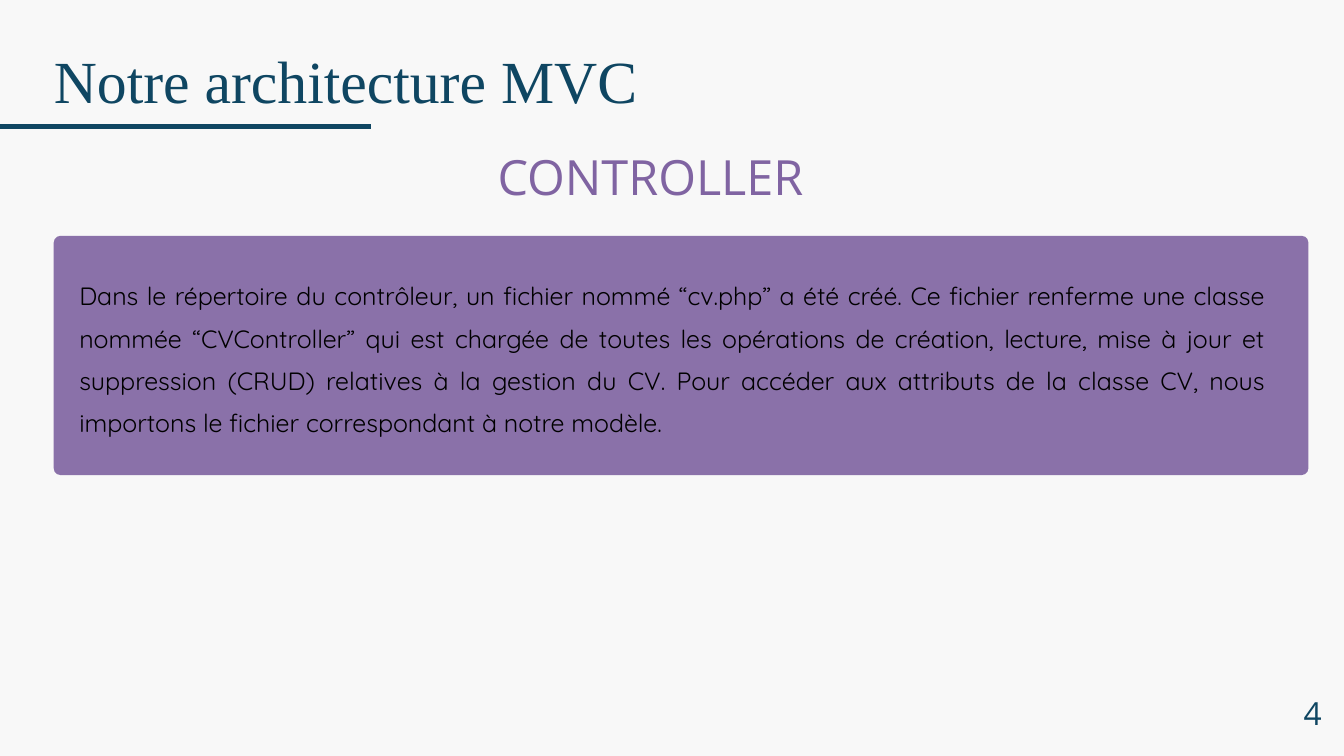
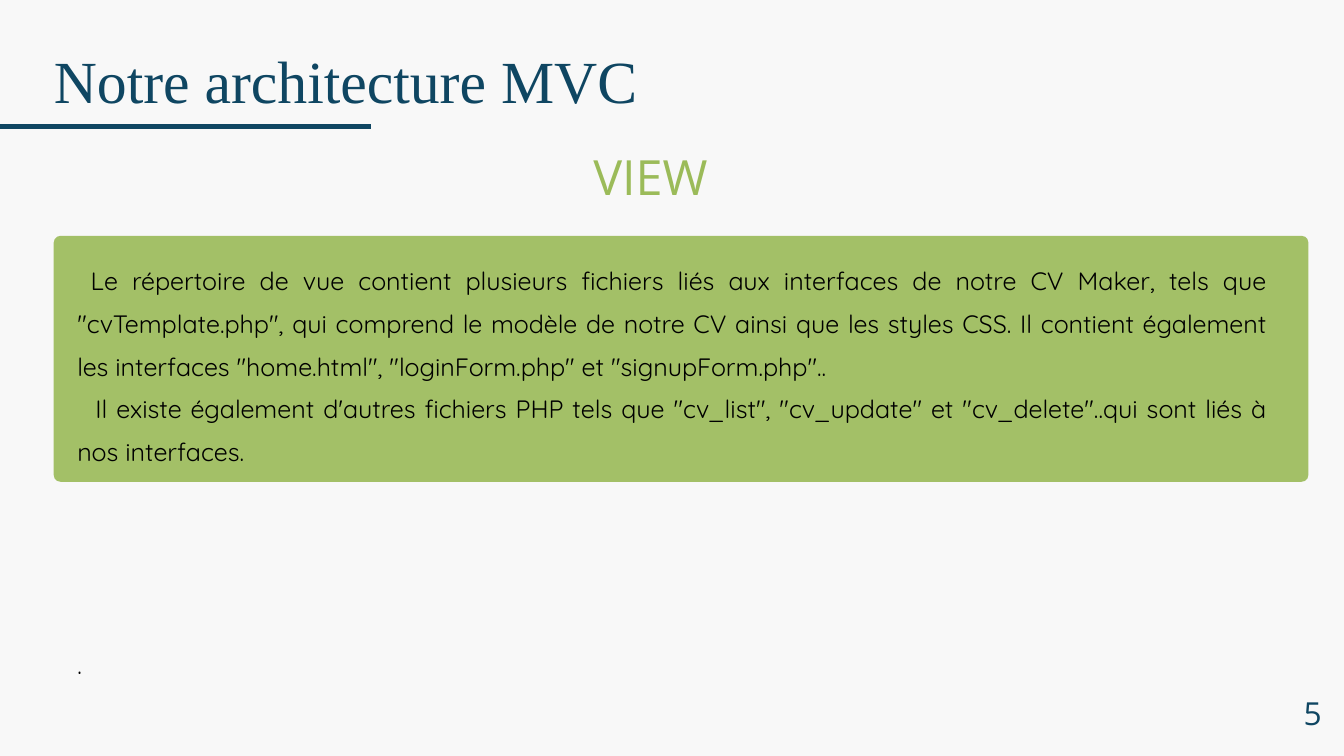
"""Build the two MVC architecture slides: controller and view."""
from lxml import etree
from pptx import Presentation
from pptx.dml.color import RGBColor
from pptx.enum.shapes import MSO_CONNECTOR, MSO_SHAPE
from pptx.enum.text import PP_ALIGN
from pptx.oxml.ns import qn
from pptx.util import Inches, Pt

LEFT, CENTER, JUSTIFY = PP_ALIGN.LEFT, PP_ALIGN.CENTER, PP_ALIGN.JUSTIFY
STRAIGHT = MSO_CONNECTOR.STRAIGHT
ROUNDED = MSO_SHAPE.ROUNDED_RECTANGLE

PAPER = RGBColor(0xF8, 0xF8, 0xF8)
NAVY = RGBColor(0x0F, 0x46, 0x62)
PURPLE = RGBColor(0x80, 0x64, 0xA2)
GREEN = RGBColor(0x9B, 0xBB, 0x59)
BLACK = RGBColor(0, 0, 0)

WIDTH, HEIGHT = 20, 11.25
MARGIN = 0.04 * WIDTH
HEADING_WIDTH = 8.88
CARD_TOP, CARD_WIDTH, CORNER = 3.51, 18.67, 0.1
CARD_OPACITY = 91000
TITLE = "Notre architecture MVC"

# Each body paragraph is (text, first-line indent in inches, blank lines above).
SLIDES = [
    {
        "number": "4",
        "heading": "CONTROLLER",
        "color": PURPLE,
        "card_height": 3.56,
        "body_box": (1.18, 3.99, 17.65, 2.46),
        "size": 26.8,
        "leading": 45.5,
        "body": [
            ("Dans le répertoire du contrôleur, un fichier nommé “cv.php” a été créé. "
             "Ce fichier renferme une classe nommée “CVController” qui est chargée de "
             "toutes les opérations de création, lecture, mise à jour et suppression "
             "(CRUD) relatives à la gestion du CV. Pour accéder aux attributs de la "
             "classe CV, nous importons le fichier correspondant à notre modèle.", 0, 0),
        ],
    },
    {
        "number": "5",
        "heading": "VIEW",
        "color": GREEN,
        "card_height": 3.66,
        "body_box": (1.15, 3.77, 17.7, 6.23),
        "size": 26.9,
        "leading": 45.7,
        "body": [
            ("Le répertoire de vue contient plusieurs fichiers liés aux interfaces de "
             "notre CV Maker, tels que \"cvTemplate.php\", qui comprend le modèle de "
             "notre CV ainsi que les styles CSS. Il contient également les interfaces "
             "\"home.html\", \"loginForm.php\" et \"signupForm.php\"..", 0.2, 0),
            ("Il existe également d'autres fichiers PHP tels que \"cv_list\", "
             "\"cv_update\" et \"cv_delete\"..qui sont liés à nos interfaces.", 0.27, 0),
            (".", 0, 4),
        ],
    },
]


def add_text(page, place, paragraphs, font, size, leading, color, align):
    box = page.shapes.add_textbox(*map(Inches, place))
    frame = box.text_frame
    frame.word_wrap = True
    frame.margin_left = frame.margin_right = 0
    frame.margin_top = frame.margin_bottom = 0
    for index, (text, indent, blank_lines) in enumerate(paragraphs):
        para = frame.add_paragraph() if index else frame.paragraphs[0]
        para.alignment = align
        para.line_spacing = Pt(leading)
        if indent:
            para._p.get_or_add_pPr().set("indent", str(Inches(indent)))
        if blank_lines:
            para.space_before = Pt(blank_lines * leading)
        span = para.add_run()
        span.text = text
        span.font.name = font
        span.font.size = Pt(size)
        span.font.color.rgb = color


def add_card(page, height, color):
    place = (MARGIN, CARD_TOP, CARD_WIDTH, height)
    card = page.shapes.add_shape(ROUNDED, *map(Inches, place))
    card.shadow.inherit = False
    card.adjustments[0] = CORNER / height
    card.fill.solid()
    card.fill.fore_color.rgb = color
    card.line.fill.background()
    tint = card._element.spPr.find(qn("a:solidFill")).find(qn("a:srgbClr"))
    etree.SubElement(tint, qn("a:alpha")).set("val", str(CARD_OPACITY))


def add_rule(page):
    rule = page.shapes.add_connector(
        STRAIGHT, 0, Inches(1.88), Inches(5.52), Inches(1.88))
    rule.line.color.rgb = NAVY
    rule.line.width = Pt(6)
    etree.SubElement(rule._element.spPr, qn("a:effectLst"))


def add_page(deck, content):
    page = deck.slides.add_slide(deck.slide_layouts[6])
    page.background.fill.solid()
    page.background.fill.fore_color.rgb = PAPER
    add_card(page, content["card_height"], content["color"])
    add_text(page, content["body_box"], content["body"], "Quicksand",
             content["size"], content["leading"], BLACK, JUSTIFY)
    add_text(page, (MARGIN, 0.47, HEADING_WIDTH, 1.19), [(TITLE, 0, 0)],
             "Times New Roman", 64, 89.6, NAVY, LEFT)
    add_text(page, (5.24, 2.05, HEADING_WIDTH, 0.97), [(content["heading"], 0, 0)],
             "Open Sans", 52, 72.8, content["color"], CENTER)
    add_rule(page)
    add_text(page, (0.97 * WIDTH, 10.23, 0.27, 0.63), [(content["number"], 0, 0)],
             "Open Sans", 34, 47.6, NAVY, CENTER)


def main():
    deck = Presentation()
    deck.slide_width, deck.slide_height = Inches(WIDTH), Inches(HEIGHT)
    for content in SLIDES:
        add_page(deck, content)
    deck.save("out.pptx")


if __name__ == "__main__":
    main()
